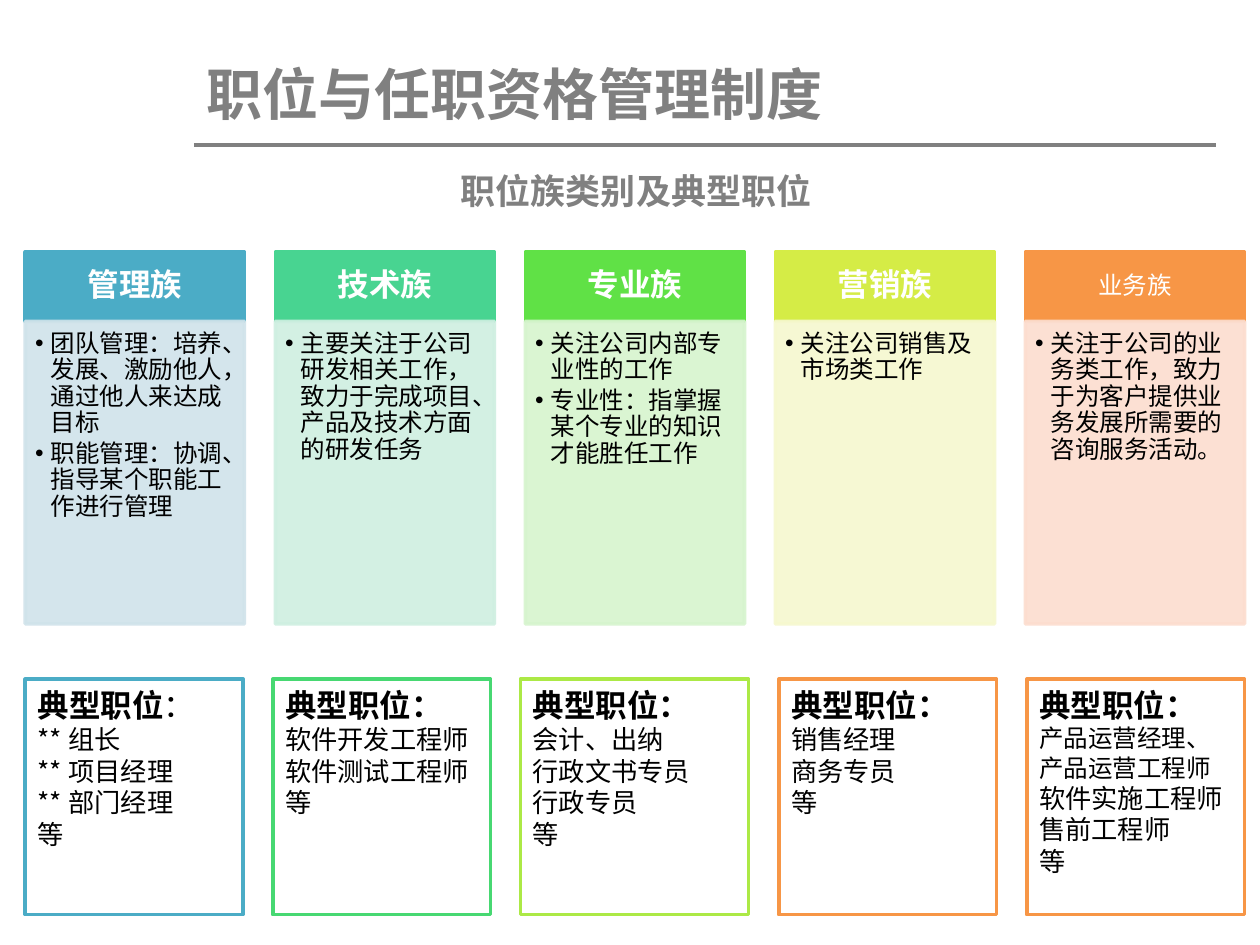
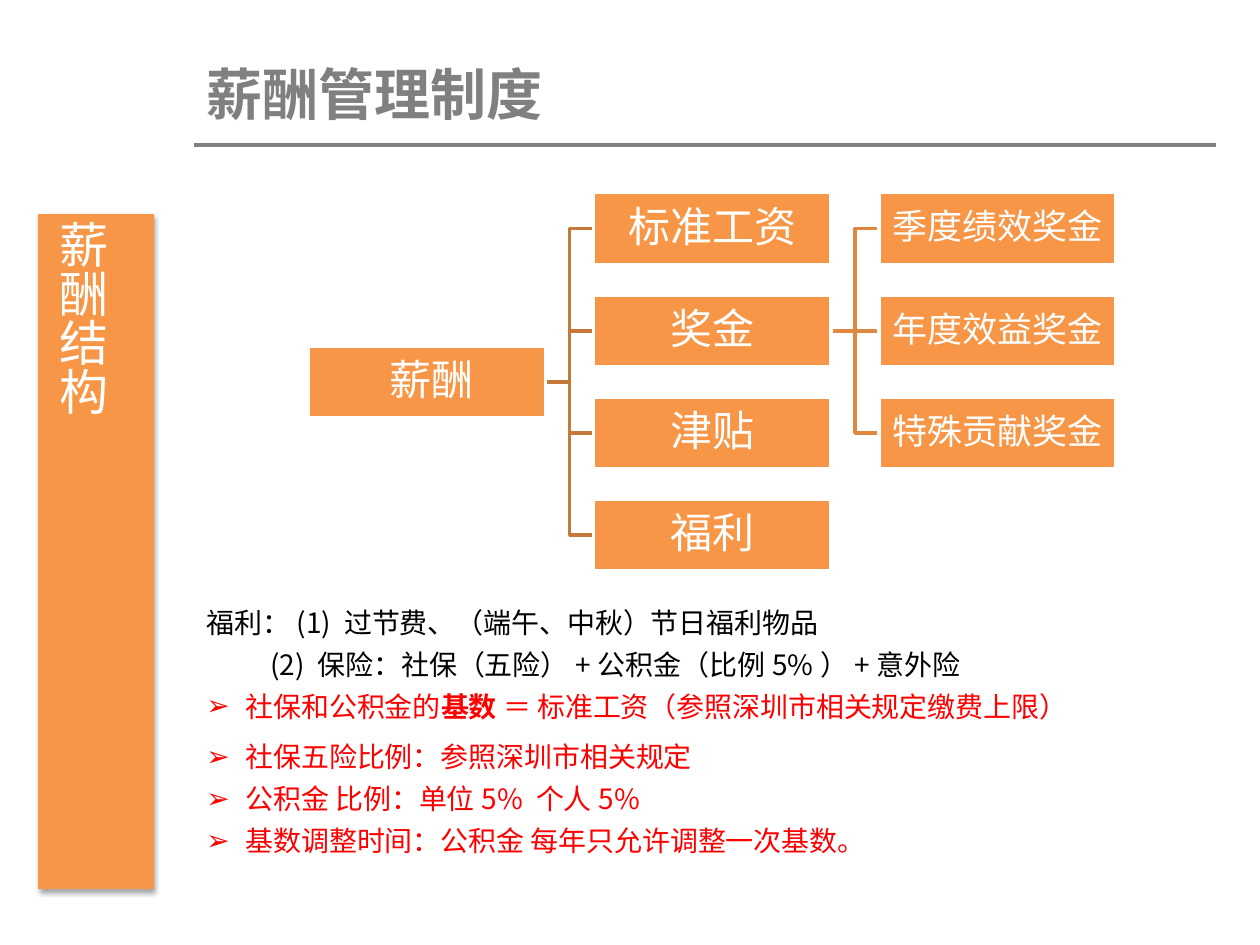
from lxml.etree import SubElement as Sub
from pptx import Presentation
from pptx.dml.color import RGBColor as RGB
from pptx.enum.shapes import MSO_CONNECTOR as LINK, MSO_SHAPE as SHAPE
from pptx.enum.text import MSO_ANCHOR as ANCHOR, PP_ALIGN as ALIGN
from pptx.oxml.ns import qn
from pptx.util import Cm, Pt

FONT = "Noto Sans CJK SC"
HUES = {
    "gray": "808080", "black": "000000", "white": "FFFFFF", "red": "FF0000",
    "orange": "F79646", "trunk": "C67838", "twig": "E08840",
}

# Slide 1: job families as name, size, bold, head colour, body colour, points
GROUPS = [
    ("管理族", 18, True, "4BACC6", "D0E3EA",
     ["团队管理：培养、发展、激励他人，通过他人来达成目标",
      "职能管理：协调、指导某个职能工作进行管理"]),
    ("技术族", 18, True, "48D491", "CFEFE1",
     ["主要关注于公司研发相关工作，致力于完成项目、产品及技术方面的研发任务"]),
    ("专业族", 18, True, "60E146", "D6F4CE",
     ["关注公司内部专业性的工作", "专业性：指掌握某个专业的知识才能胜任工作"]),
    ("营销族", 18, True, "D5EC46", "F6F8CF", ["关注公司销售及市场类工作"]),
    ("业务族", 14, False, "F79646", "FCDDCF",
     ["关注于公司的业务类工作，致力于为客户提供业务发展所需要的咨询服务活动。"]),
]

# Typical jobs: left, width, border, bold colon, (text, size) lines
JOBS = [
    (0.51, 4.39, "4BACC6", False,
     [("**组长", 15), ("**项目经理", 15), ("**部门经理", 15), ("等", 15)]),
    (5.5, 4.39, "47D872", True,
     [("软件开发工程师", 15), ("软件测试工程师", 15), ("等", 15)]),
    (10.49, 4.6, "ACE946", True,
     [("会计、出纳", 15), ("行政文书专员", 15), ("行政专员", 15), ("等", 15)]),
    (15.7, 4.39, "F79646", True, [("销售经理", 15), ("商务专员", 15), ("等", 15)]),
    (20.7, 4.39, "F79646", True,
     [("产品运营经理、产品运营工程师", 14), ("软件实施工程师", 15),
      ("售前工程师", 15), ("等", 15)]),
]

# Slide 2: pay tree and notes
ROOT = " 薪酬"
PARTS = ["标准工资", "奖金", "津贴", "福利"]
BONUS = ["季度绩效奖金", "年度效益奖金", "特殊贡献奖金"]
# Notes: runs as (text, bold), colour, line spacing, indent, bullet
NOTES = [
    ([("福利：(1) 过节费、（端午、中秋）节日福利物品", False)], "black", 1.25, 0, ""),
    ([("(2) 保险：社保（五险）+公积金（比例5%）+意外险", False)], "black", 1.25, 1.29, ""),
    ([("社保和公积金的", False), ("基数", True),
      (" ＝ 标准工资（参照深圳市相关规定缴费上限）", False)], "red", 1.25, 0.79, "➢"),
    ([("社保五险比例：参照深圳市相关规定", False)], "red", 1.5, 0.79, "➢"),
    ([("公积金 比例：单位5% 个人5%", False)], "red", 1.25, 0.79, "➢"),
    ([("基数调整时间：公积金 每年只允许调整一次基数。", False)], "red", 1.25, 0.79, "➢"),
]


def tint(name):
    return RGB.from_string(HUES.get(name, name))


def setup(frame, pad=(0.25, 0.13, 0.25, 0.13), anchor=ANCHOR.TOP):
    frame.word_wrap = True
    frame.vertical_anchor = anchor
    (frame.margin_left, frame.margin_top,
     frame.margin_right, frame.margin_bottom) = map(Cm, pad)


def write(frame, runs, size, hue="black", bold=False, align=ALIGN.LEFT,
          space=None, after=0, indent=0, mark=""):
    """Add one paragraph; runs is a string or a list of (text, bold)."""
    first = frame.paragraphs[0]
    para = frame.add_paragraph() if first.runs else first
    para.alignment = align
    para.space_after = Pt(after)
    if space:
        para.line_spacing = space
    props = para._p.get_or_add_pPr()
    if indent:
        props.set("marL", str(Cm(indent)))
    if mark:
        props.set("indent", str(-Cm(indent)))
        Sub(props, qn("a:buFont"), typeface="Arial")
        Sub(props, qn("a:buChar"), char=mark)
    font = para.font
    font.size, font.name, font.color.rgb = Pt(size), FONT, tint(hue)
    Sub(props.find(qn("a:defRPr")), qn("a:ea"), typeface=FONT)
    if isinstance(runs, str):
        font.bold = bold
        para.add_run().text = runs
    else:
        for text, heavy in runs:
            run = para.add_run()
            run.text, run.font.bold = text, heavy


def label(slide, x, y, w, h, anchor=ANCHOR.TOP):
    frame = slide.shapes.add_textbox(Cm(x), Cm(y), Cm(w), Cm(h)).text_frame
    setup(frame, anchor=anchor)
    return frame


def rect(slide, x, y, w, h, fill, edge, width=2):
    box = slide.shapes.add_shape(SHAPE.RECTANGLE, Cm(x), Cm(y), Cm(w), Cm(h))
    box.shadow.inherit = False
    box.fill.solid()
    box.fill.fore_color.rgb = tint(fill)
    box.line.color.rgb = tint(edge)
    box.line.width = Pt(width)
    setup(box.text_frame)
    return box


def fade(box, share):
    for solid in box._element.spPr.iter(qn("a:solidFill")):
        Sub(solid[0], qn("a:alpha"), val=str(share * 1000))


def rule(slide, x1, y1, x2, y2, hue, width):
    line = slide.shapes.add_connector(LINK.STRAIGHT, Cm(x1), Cm(y1), Cm(x2), Cm(y2))
    line.line.color.rgb = tint(hue)
    line.line.width = Pt(width)
    Sub(line._element.spPr, qn("a:effectLst"))
    return line


def start(deck, title):
    slide = deck.slides.add_slide(deck.slide_layouts[6])
    write(label(slide, 3.91, 1.07, 20.6, 1.62), title, 32, "gray", True)
    rule(slide, 3.91, 2.92, 24.51, 2.92, "gray", 2.25)
    return slide


def families(deck):
    slide = start(deck, "职位与任职资格管理制度")
    # Family columns
    left, step, wide = 0.51, 5.04, 4.42
    for i, (name, size, bold, dark, pale, points) in enumerate(GROUPS):
        x = left + i * step
        head = rect(slide, x, 5.08, wide, 1.4, dark, dark)
        setup(head.text_frame, (0.35, 0.2, 0.35, 0.2), ANCHOR.MIDDLE)
        write(head.text_frame, name, size, "white", bold, ALIGN.CENTER, 0.9)
        body = rect(slide, x, 6.48, wide, 6.1, pale, pale)
        fade(body, 90)
        setup(body.text_frame, (0.2, 0.2, 0.28, 0.3))
        for point in points:
            write(body.text_frame, point, 14, space=0.9, after=2.1,
                  indent=0.31, mark="•")
    # Subtitle
    write(label(slide, 9.04, 3.15, 7.87, 1.4, ANCHOR.MIDDLE),
          "职位族类别及典型职位", 20, "gray", True)
    # Typical jobs
    for x, w, edge, heavy, lines in JOBS:
        frame = rect(slide, x, 13.69, w, 4.75, "white", edge).text_frame
        write(frame, [("典型职位", True), ("：", heavy)], 18)
        for text, size in lines:
            write(frame, text, size)


def branch(slide, x1, y1, x2, y2, hue):
    mid = (x1 + x2) / 2
    path = slide.shapes.build_freeform(Cm(x1), Cm(y1))
    path.add_line_segments(
        [(Cm(mid), Cm(y1)), (Cm(mid), Cm(y2)), (Cm(x2), Cm(y2))], close=False)
    bend = path.convert_to_shape()
    bend.shadow.inherit = False
    bend.fill.background()
    bend.line.color.rgb = tint(hue)
    bend.line.width = Pt(2)


def node(slide, x, mid, text, size):
    box = rect(slide, x, mid - HIGH / 2, WIDE, HIGH, "orange", "white")
    setup(box.text_frame, (0.04, 0.04, 0.04, 0.04), ANCHOR.MIDDLE)
    write(box.text_frame, text, size, "white", align=ALIGN.CENTER, space=0.9)
    return box


WIDE, HIGH = 4.78, 1.45


def salary(deck):
    slide = start(deck, "薪酬管理制度")
    # Side band
    band = rect(slide, 0.79, 4.32, 2.31, 13.59, "orange", "orange", 0.75)
    glow = Sub(band._element.spPr.find(qn("a:effectLst")), qn("a:outerShdw"),
               blurRad=str(Pt(3.1)), dist=str(Pt(1.8)), dir="5400000", rotWithShape="0")
    Sub(Sub(glow, qn("a:srgbClr"), val=HUES["black"]), qn("a:alpha"), val="35000")
    setup(band.text_frame, anchor=ANCHOR.MIDDLE)
    band.text_frame.word_wrap = False
    band.text_frame._txBody.bodyPr.set("vert", "eaVert")
    write(band.text_frame, "薪酬结构", 28, "white", align=ALIGN.CENTER, space=1.5)

    # Tree: lines lie under the boxes
    cols = [6.22 + i * 5.75 for i in range(3)]
    rows = [4.61 + i * 2.06 for i in range(4)]
    base = sum(rows) / len(rows)
    for y in rows:
        branch(slide, cols[0] + WIDE, base, cols[1], y, "trunk")
    hub = rows[1]
    for y in (rows[0], rows[2]):
        branch(slide, cols[1] + WIDE, hub, cols[2], y, "twig")
    link = rule(slide, cols[1] + WIDE, hub, cols[2], hub, "twig", 2)
    node(slide, cols[0], base, ROOT, 24)
    parts = [node(slide, cols[1], y, text, 24) for y, text in zip(rows, PARTS)]
    extras = [node(slide, cols[2], y, text, 20) for y, text in zip(rows, BONUS)]
    link.begin_connect(parts[1], 3)
    link.end_connect(extras[1], 1)

    # Notes
    frame = label(slide, 3.91, 11.91, 20.6, 5.56)
    for runs, hue, space, indent, mark in NOTES:
        write(frame, runs, 16, hue, space=space, indent=indent, mark=mark)


def main():
    deck = Presentation()
    deck.slide_width, deck.slide_height = Cm(25.4), Cm(19.05)
    families(deck)
    salary(deck)
    deck.save("out.pptx")


if __name__ == "__main__":
    main()
